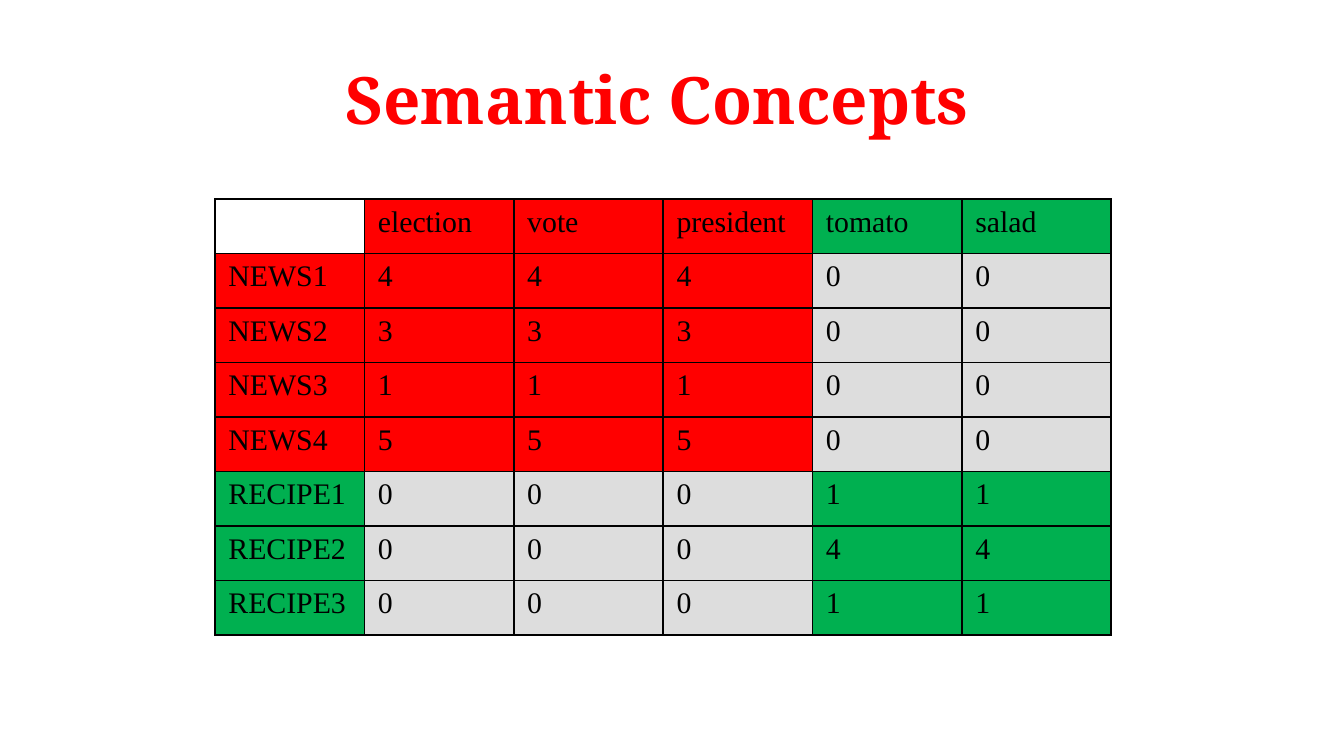
from lxml import etree
from pptx import Presentation
from pptx.dml.color import RGBColor
from pptx.enum.text import MSO_ANCHOR, PP_ALIGN
from pptx.oxml.ns import qn
from pptx.util import Inches, Pt

CENTER = PP_ALIGN.CENTER
TOP = MSO_ANCHOR.TOP
UNIT = Inches(0.1)  # one grid column or row
COLORS = {"news": "FF0000", "recipe": "00B050", "zero": "DDDDDD",
          "paper": "FFFFFF", "ink": "000000"}


class SlideBuilder:
    """Holds the style and the current page; lengths are grid units."""
    title_font, table_font = "Noto Serif", "Times New Roman"
    title_size, table_size = 35, 16

    def __init__(self, deck):
        self.page = deck.slides.add_slide(deck.slide_layouts[6])

    def color(self, name):
        return RGBColor.from_string(COLORS[name])

    def span(self, para, text, font, size, color, bold=False):
        span = para.add_run()
        span.text = text
        span.font.name, span.font.size, span.font.bold = font, Pt(size), bold
        span.font.color.rgb = self.color(color)

    def title(self, text, *place):
        box = self.page.shapes.add_textbox(*(round(n * UNIT) for n in place))
        frame = box.text_frame
        frame.word_wrap = True
        frame.vertical_anchor = TOP
        frame.margin_top = Inches(0.01)
        para = frame.paragraphs[0]
        para.alignment = CENTER
        self.span(para, text, self.title_font, self.title_size, "news", True)

    def borders(self, cell):
        props = cell._tc.get_or_add_tcPr()
        for index, side in enumerate(("lnL", "lnR", "lnT", "lnB")):
            line = etree.Element(qn("a:" + side), w=str(Pt(1)))
            fill = etree.SubElement(line, qn("a:solidFill"))
            etree.SubElement(fill, qn("a:srgbClr"), val=COLORS["ink"])
            props.insert(index, line)

    def table(self, rows, fill_of, *place):
        left, top, width, height = (round(n * UNIT) for n in place)
        table = self.page.shapes.add_table(
            len(rows), len(rows[0]), left, top, width, height).table
        for r, row in enumerate(rows):
            for c, value in enumerate(row):
                cell = table.cell(r, c)
                cell.fill.solid()
                cell.fill.fore_color.rgb = self.color(fill_of(r, c))
                self.borders(cell)
                if value != "":
                    self.span(cell.text_frame.paragraphs[0], str(value),
                              self.table_font, self.table_size, "ink")


# Term counts per document
words = {"election": "news", "vote": "news", "president": "news",
         "tomato": "recipe", "salad": "recipe"}
documents = [("NEWS1", "news", 4), ("NEWS2", "news", 3),
             ("NEWS3", "news", 1), ("NEWS4", "news", 5),
             ("RECIPE1", "recipe", 1), ("RECIPE2", "recipe", 4),
             ("RECIPE3", "recipe", 1)]
rows = [["", *words]]
for name, topic, count in documents:
    rows.append([name] + [count if topic == t else 0 for t in words.values()])

row_topics = [None] + [topic for _, topic, _ in documents]
column_topics = [None, *words.values()]


def topic_fill(r, c):
    """Headings take their topic colour; counts do where topics agree."""
    row_topic, column_topic = row_topics[r], column_topics[c]
    if r == 0 or c == 0:
        return row_topic or column_topic or "paper"
    return row_topic if row_topic == column_topic else "zero"


# Widescreen page, 16 to 9
deck = Presentation()
deck.slide_width = Inches(10)
deck.slide_height = deck.slide_width * 9 // 16
builder = SlideBuilder(deck)
builder.title("Semantic Concepts", 2.8, 4.3, 92.2, 7.7)
builder.table(rows, topic_fill, 16, 14.8, 66.7, 32.45)
deck.save("out.pptx")
